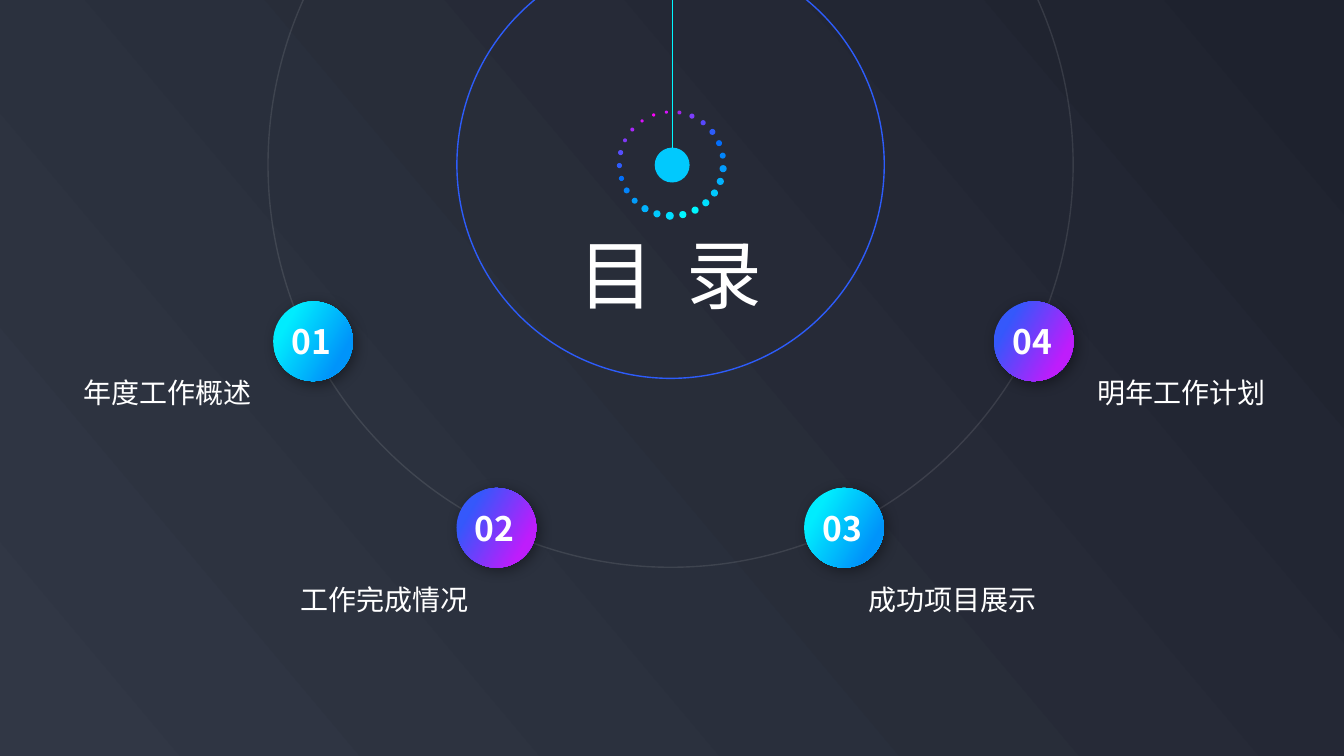
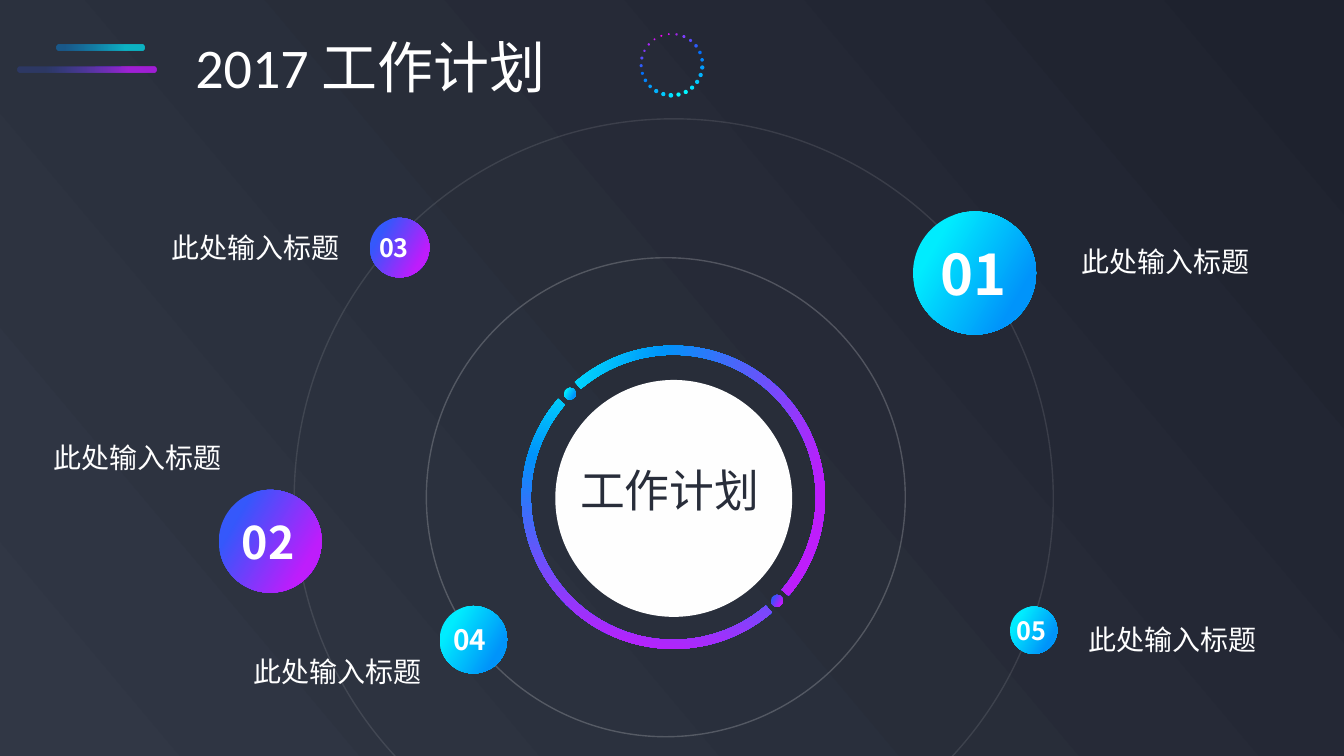
from math import cos, radians, sin, tan
from lxml.etree import SubElement
from pptx import Presentation
from pptx.dml.color import RGBColor
from pptx.enum.shapes import MSO_CONNECTOR, MSO_SHAPE
from pptx.enum.text import MSO_ANCHOR, MSO_AUTO_SIZE, PP_ALIGN
from pptx.oxml.ns import qn
from pptx.util import Cm, Pt

WHITE = RGBColor(0xFF, 0xFF, 0xFF)
DISC = RGBColor(0xFE, 0xFE, 0xFE)
INK = RGBColor(0x28, 0x2D, 0x3A)
SLATE = RGBColor(0x31, 0x37, 0x45)
NIGHT = RGBColor(0x1E, 0x22, 0x2E)
ROYAL = RGBColor(0x2D, 0x5C, 0xFA)
SKY = RGBColor(0x01, 0xC9, 0xFD)
AQUA = RGBColor(0x00, 0xF7, 0xFF)
CYAN = RGBColor(0x00, 0xEC, 0xFE)
AZURE = RGBColor(0x00, 0x94, 0xFA)
INDIGO = RGBColor(0x35, 0x58, 0xFB)
VIOLET = RGBColor(0xBE, 0x1D, 0xFB)
SHADOW = RGBColor(0, 0, 0)

CJK = "Noto Sans CJK SC"
LATIN = "Calibri"

COOL = [(21, CYAN, 100), (80, AZURE, 100)]
WARM = [(21, INDIGO, 100), (80, VIOLET, 100)]
SPECTRUM = [(0, CYAN, 100), (27, AZURE, 100), (76, VIOLET, 100), (100, VIOLET, 100)]
BACKDROP = [(0, SLATE, 100), (100, NIGHT, 100)]

DOT_COLOURS = [RGBColor.from_string(code) for code in (
    "01DEFF 00F7FF 00F7FF 00DFFE 01C9FD 02B2FD 029CFD 0285FB 036EFA "
    "2D5CFA 5748FD 7D3EFC 9F26E7 D813FB FC02F9 D912FC AA27FB 7F39F6 "
    "564EFC 2E5CFB 026FF9 0384FB 029CFB 02B2FD 01C9FD").split()]
DOT_SIZES = [0.2] + [0.18] * 6 + [0.15] * 3 + [0.13] * 2 + [0.1] + [0.08] * 3 \
    + [0.1] * 2 + [0.13] * 3 + [0.15] * 2 + [0.18] * 2

CONTENTS_TITLE = [("目 录", CJK)]
CONTENTS_CENTRE = (16.9, 4.15)
CONTENTS = [
    ("01", "年度工作概述", (7.89, 8.6), (1.85, 9.35), COOL),
    ("02", "工作完成情况", (12.51, 13.3), (7.32, 14.55), WARM),
    ("03", "成功项目展示", (21.27, 13.3), (21.64, 14.55), COOL),
    ("04", "明年工作计划", (26.05, 8.6), (27.41, 9.35), WARM),
]

PLAN_TITLE = [("2017 ", LATIN), ("工作计划", CJK)]
PLAN_CENTRE = (16.97, 12.53)
PLAN_LABEL = "此处输入标题"
PLAN = [
    ("01", (24.56, 6.88), 3.1, 40, 0.03, (27, 6.03), COOL),
    ("02", (6.81, 13.64), 2.59, 32, 0.1, (1.09, 10.97), WARM),
    ("03", (10.07, 6.24), 1.5, 18, 0.28, (4.08, 5.69), WARM),
    ("04", (11.93, 16.12), 1.7, 20, 0.18, (6.13, 16.36), COOL),
    ("05", (26.05, 15.88), 1.19, 18, 0.13, (27.18, 15.57), COOL),
]
HALVES = [(0, 60), (180, 145)]
ENDS = [(225, COOL), (45, WARM)]
BARS = [
    (0.44, 1.68, 3.51, [(21, INDIGO, 20), (80, VIOLET, 80)]),
    (1.42, 1.12, 2.21, [(10, AZURE, 40), (79, CYAN, 70)]),
]


def add_colour(parent, colour, alpha):
    element = SubElement(parent, qn("a:srgbClr"), val=str(colour))
    if alpha < 100:
        SubElement(element, qn("a:alpha"), val=str(alpha * 1000))


def paint_gradient(owner, fill, stops, angle):
    fill.gradient()
    fill.gradient_angle = -angle % 360
    stop_list = next(owner._element.iter(qn("a:gsLst")))
    for stop in list(stop_list):
        stop_list.remove(stop)
    for position, colour, alpha in stops:
        stop = SubElement(stop_list, qn("a:gs"), pos=str(position * 1000))
        add_colour(stop, colour, alpha)


def polar(centre, radius, angle):
    return (centre[0] + radius * cos(radians(angle)),
            centre[1] + radius * sin(radians(angle)))


def add_circle(page, centre, size, colour=None, stops=None):
    left, top = (value - size / 2 for value in centre)
    circle = page.shapes.add_shape(MSO_SHAPE.OVAL, Cm(left), Cm(top), Cm(size), Cm(size))
    circle.shadow.inherit = False
    circle.line.fill.background()
    if stops:
        paint_gradient(circle, circle.fill, stops, 30)
    elif colour is not None:
        circle.fill.solid()
        circle.fill.fore_color.rgb = colour
    else:
        circle.fill.background()
    return circle


def add_orbit(page, centre, size, colour, alpha=100):
    orbit = add_circle(page, centre, size)
    orbit.line.color.rgb = colour
    orbit.line.width = Pt(1)
    if alpha < 100:
        element = next(orbit._element.iter(qn("a:srgbClr")))
        SubElement(element, qn("a:alpha"), val=str(alpha * 1000))


def write(frame, runs, size, colour, bold=False):
    para = frame.paragraphs[0]
    for text, font in runs:
        span = para.add_run()
        span.text = text
        span.font.name = font
        span.font.size = Pt(size)
        span.font.bold = bold
        span.font.color.rgb = colour
        SubElement(span.font._element, qn("a:ea"), typeface=font)
    return para


def write_inside(circle, text, size, colour, bold, right, bottom):
    frame = circle.text_frame
    frame.word_wrap = False
    frame.vertical_anchor = MSO_ANCHOR.MIDDLE
    frame.margin_left = frame.margin_top = 0
    frame.margin_right, frame.margin_bottom = Cm(right), Cm(bottom)
    write(frame, [(text, CJK)], size, colour, bold).alignment = PP_ALIGN.CENTER


def add_badge(page, number, centre, diameter, size, inset, stops):
    badge = add_circle(page, centre, diameter, stops=stops)
    write_inside(badge, number, size, WHITE, True, inset, 0)
    return badge


def add_soft_shadow(shape):
    effects = next(shape._element.iter(qn("a:effectLst")))
    shadow = SubElement(effects, qn("a:outerShdw"), blurRad=str(Pt(10)),
                        dist=str(Pt(3)), dir="2700000", algn="tl", rotWithShape="0")
    add_colour(shadow, SHADOW, 40)


def add_label(page, text, place):
    box = page.shapes.add_textbox(Cm(place[0]), Cm(place[1]), Cm(5), Cm(1.12))
    box.text_frame.word_wrap = True
    write(box.text_frame, [(text, CJK)], 20, WHITE)


def add_dot_ring(page, centre, scale=1.0):
    step = 360 / len(DOT_COLOURS)
    for index, (colour, size) in enumerate(zip(DOT_COLOURS, DOT_SIZES)):
        place = polar(centre, 1.31 * scale, 91.7 - step * index)
        add_circle(page, place, size * scale, colour)


def arc_points(radius, start, sweep):
    reach = radius * 4 / 3 * tan(radians(sweep / 4))
    points = [polar(PLAN_CENTRE, radius, start)]
    for turn in (start, start + sweep):
        finish = polar(PLAN_CENTRE, radius, turn + sweep)
        points += [polar(points[-1], reach, turn + 90),
                   polar(finish, -reach, turn + sweep + 90), finish]
    return points


def bend(lines):
    curve = lines[0].makeelement(qn("a:cubicBezTo"))
    lines[0].addprevious(curve)
    for line in lines:
        curve.append(line[0])
        line.getparent().remove(line)


def add_half_ring(page, middle, angle):
    outline = arc_points(3.82, middle - 85.5, 85.5) + arc_points(3.59, middle + 85.5, -85.5)
    points = [(Cm(x), Cm(y)) for x, y in outline]
    builder = page.shapes.build_freeform(*points[0])
    builder.add_line_segments(points[1:], close=True)
    half = builder.convert_to_shape()
    lines = list(half._element.iter(qn("a:lnTo")))
    for first in (0, 3, 7, 10):
        bend(lines[first:first + 3])
    offset = (half.left + half.width / 2) / Cm(1) - PLAN_CENTRE[0]
    x, y = polar(PLAN_CENTRE, offset, 315)
    half.left = int(Cm(x) - half.width / 2)
    half.top = int(Cm(y) - half.height / 2)
    half.rotation = 315
    half.shadow.inherit = False
    half.line.fill.background()
    paint_gradient(half, half.fill, SPECTRUM, angle)


def add_page(deck, runs, size, place):
    page = deck.slides.add_slide(deck.slide_layouts[5])
    title = page.shapes.title
    title.left, title.top, title.width, title.height = (Cm(value) for value in place)
    frame = title.text_frame
    frame.word_wrap = True
    frame.auto_size = MSO_AUTO_SIZE.NONE
    frame.vertical_anchor = MSO_ANCHOR.TOP
    write(frame, runs, size, WHITE).alignment = PP_ALIGN.LEFT
    return page


def build_contents(deck):
    page = add_page(deck, CONTENTS_TITLE, 54, (14.33, 5.61, 5.9, 2.57))
    for span in page.shapes.title.text_frame.paragraphs[0].runs:
        span.font._element.set("spc", "560")
    add_orbit(page, CONTENTS_CENTRE, 20.29, WHITE, 10)
    add_orbit(page, CONTENTS_CENTRE, 10.77, ROYAL)
    core = add_circle(page, (16.94, 4.16), 0.88, SKY)
    thread = page.shapes.add_connector(MSO_CONNECTOR.STRAIGHT, Cm(16.94), Cm(-7.7),
                                       Cm(16.94), Cm(3.72))
    thread.end_connect(core, 0)
    thread.line.color.rgb = AQUA
    thread.line.width = Pt(0.75)
    SubElement(thread._element.spPr, qn("a:effectLst"))
    add_dot_ring(page, (16.92, 4.13))
    for number, text, centre, place, stops in CONTENTS:
        add_soft_shadow(add_badge(page, number, centre, 2.01, 24, 0.08, stops))
        add_label(page, text, place)


def build_plan(deck):
    page = add_page(deck, PLAN_TITLE, 40, (4.67, 0.69, 10.57, 1.96))
    add_dot_ring(page, (16.93, 1.63), 0.59)
    for left, top, width, stops in BARS:
        bar = page.shapes.add_shape(MSO_SHAPE.ROUNDED_RECTANGLE, Cm(left), Cm(top),
                                    Cm(width), Cm(0.15))
        bar.adjustments[0] = 0.42
        bar.shadow.inherit = False
        bar.line.fill.background()
        paint_gradient(bar, bar.fill, stops, 0)
    for middle, angle in HALVES:
        add_half_ring(page, middle, angle)
    for angle, stops in ENDS:
        add_circle(page, polar(PLAN_CENTRE, 3.69, angle), 0.3, stops=stops)
    add_orbit(page, (16.78, 12.53), 12.07, WHITE, 20)
    add_orbit(page, (16.98, 12.56), 19.13, WHITE, 10)
    disc = add_circle(page, (16.98, 12.56), 5.97, DISC)
    write_inside(disc, "工作计划", 32, INK, False, 0.2, 0.42)
    for number, centre, diameter, size, inset, place, stops in PLAN:
        add_badge(page, number, centre, diameter, size, inset, stops)
        add_label(page, PLAN_LABEL, place)


def main():
    deck = Presentation()
    deck.slide_width, deck.slide_height = Cm(33.87), Cm(19.05)
    master = deck.slide_master
    paint_gradient(master, master.background.fill, BACKDROP, 320)
    build_contents(deck)
    build_plan(deck)
    deck.save("out.pptx")


if __name__ == "__main__":
    main()
